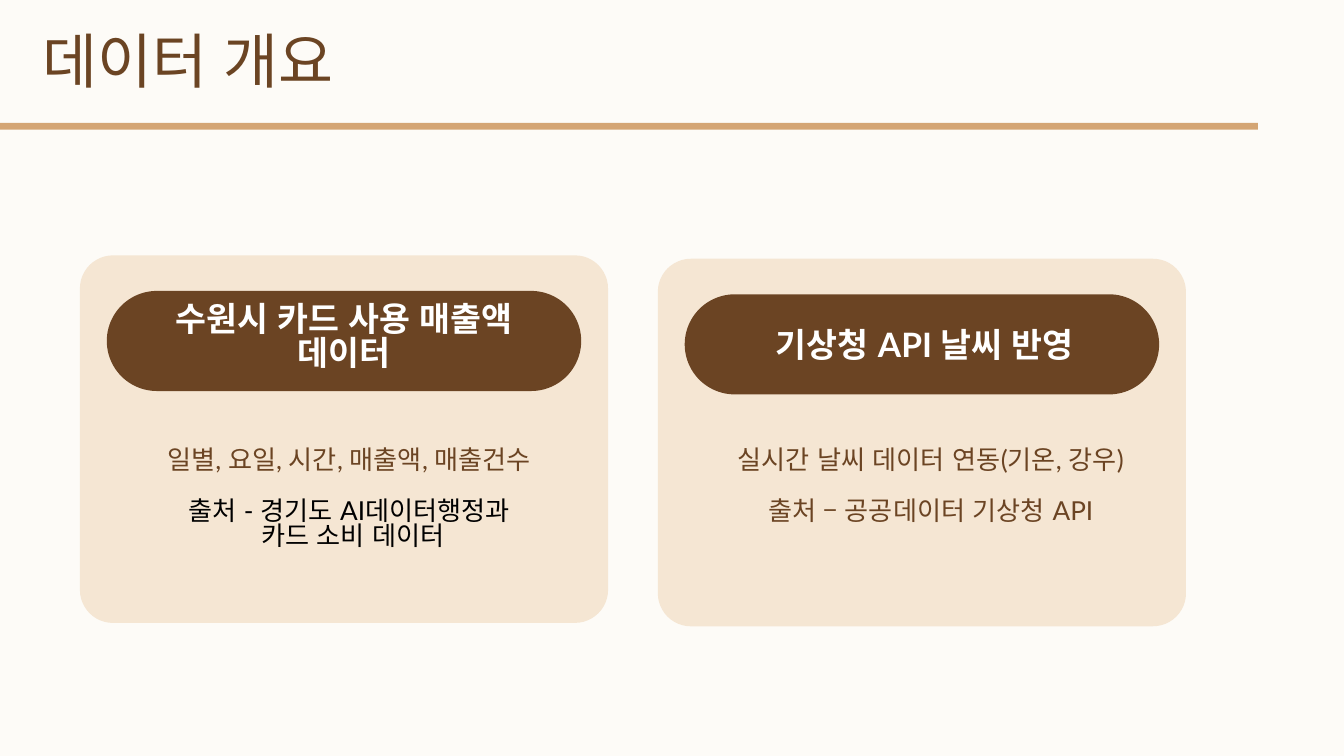
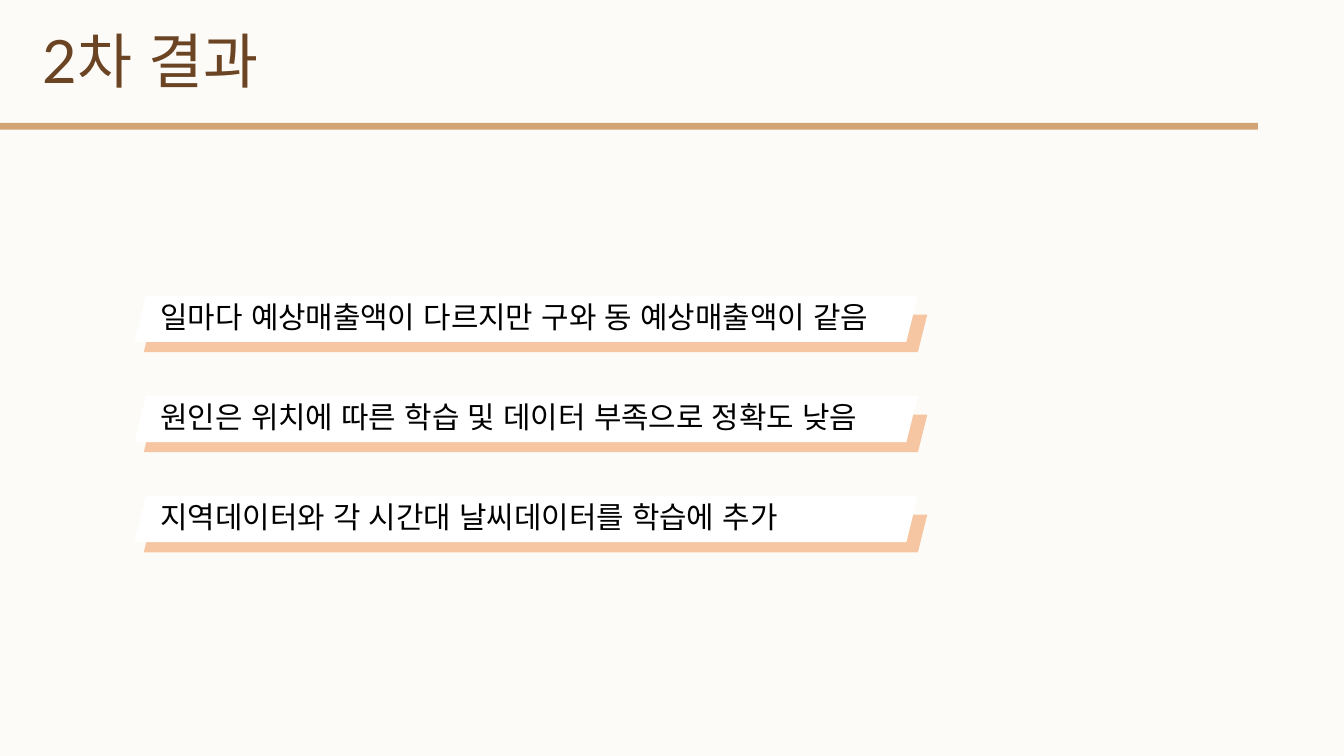
from lxml import etree
from pptx import Presentation
from pptx.dml.color import RGBColor
from pptx.enum.lang import MSO_LANGUAGE_ID
from pptx.enum.shapes import MSO_SHAPE
from pptx.enum.text import PP_ALIGN
from pptx.oxml.ns import qn
from pptx.util import Emu, Pt

RECTANGLE = MSO_SHAPE.RECTANGLE
ROUNDED = MSO_SHAPE.ROUNDED_RECTANGLE
PARALLELOGRAM = MSO_SHAPE.PARALLELOGRAM
LEFT, CENTER = PP_ALIGN.LEFT, PP_ALIGN.CENTER
KOREAN = MSO_LANGUAGE_ID.KOREAN

EMU_PER_PX = 4572
SLIDE_WIDTH, SLIDE_HEIGHT = 2000, 1125

CREAM, TAN, BROWN, SAND = "FDFBF7", "D4A574", "6B4423", "F5E6D3"
ORANGE, WHITE, BLACK = "ED7D31", "FFFFFF", "000000"
LATO, NOTO = "Lato", "Noto Sans CJK KR"

OVERVIEW_TITLE = "데이터 개요"
CARDS = [
    {
        "left": 119, "top": 380, "heading_at": (232, 454),
        "heading": "수원시 카드 사용 매출액 데이터",
        "body": [
            ("일별, 요일, 시간, 매출액, 매출건수 ", BROWN),
            ("출처 - 경기도 AI데이터행정과 ", BLACK),
            ("카드 소비 데이터", BLACK),
        ],
    },
    {
        "left": 979, "top": 385, "heading_at": (1096, 492),
        "heading": "기상청 API 날씨 반영",
        "body": [
            ("실시간 날씨 데이터 연동(기온, 강우)", BROWN),
            ("출처 – 공공데이터 기상청 API", BROWN),
        ],
    },
]
BODY_TOP = 668

RESULT_TITLE = "2차 결과"
FINDINGS = [
    "일마다 예상매출액이 다르지만 구와 동 예상매출액이 같음",
    "원인은 위치에 따른 학습 및 데이터 부족으로 정확도 낮음",
    "지역데이터와 각 시간대 날씨데이터를 학습에 추가",
]
FINDING_LEFT, FINDING_TOP, FINDING_PITCH = 200, 440, 149


def px(value):
    return Emu(value * EMU_PER_PX)


def color(value):
    return RGBColor.from_string(value)


def add_block(parent, kind, box, fill, corner=None, opacity=None):
    shape = parent.shapes.add_shape(kind, *map(px, box))
    shape.shadow.inherit = False
    shape.fill.solid()
    shape.fill.fore_color.rgb = color(fill)
    shape.line.fill.background()
    if corner is not None:
        shape.adjustments[0] = corner
    if opacity is not None:
        swatch = shape.fill._xPr.find(qn("a:solidFill"))[0]
        etree.SubElement(swatch, qn("a:alpha")).set("val", str(opacity * 1000))


def add_text(parent, box, lines, size, spacing, after=0, font=LATO,
             align=LEFT, bold=False, gap=0):
    frame = parent.shapes.add_textbox(*map(px, box)).text_frame
    frame.word_wrap = True
    frame.margin_left = frame.margin_top = 0
    frame.margin_right = frame.margin_bottom = 0
    for index, (text, text_color) in enumerate(lines):
        paragraph = frame.add_paragraph() if index else frame.paragraphs[0]
        paragraph.alignment = align
        paragraph.line_spacing = Pt(spacing)
        paragraph.space_after = Pt(after)
        if index == 1:
            paragraph.space_before = Pt(gap)
        run = paragraph.add_run()
        run.text = text
        run.font.size = Pt(size)
        run.font.name = font
        run.font.bold = bold
        run.font.language_id = KOREAN
        run.font.color.rgb = color(text_color)
        latin = run._r.get_or_add_rPr().find(qn("a:latin"))
        east_asian = etree.Element(qn("a:ea"))
        east_asian.set("typeface", NOTO)
        latin.addnext(east_asian)


def add_titled_slide(presentation, title):
    slide = presentation.slides.add_slide(presentation.slide_layouts[6])
    slide.background.fill.solid()
    slide.background.fill.fore_color.rgb = color(CREAM)
    add_block(slide, RECTANGLE, (0, 183, 1872, 10), TAN)
    add_text(slide, (63, 67, 958, 76), [(title, BROWN)], 32, 27, after=6)
    return slide


def add_card(slide, card):
    left, top = card["left"], card["top"]
    group = slide.shapes.add_group_shape()
    add_block(group, ROUNDED, (left, top, 786, 547), SAND, corner=0.09)
    add_block(group, ROUNDED, (left + 40, top + 53, 706, 149), BROWN, corner=0.5)
    add_text(group, (*card["heading_at"], 560, 130),
             [(card["heading"], WHITE)], 18, 17.9, after=3, align=CENTER, bold=True)
    add_text(group, (left + 65, BODY_TOP, 682, 130), card["body"],
             14, 13.7, align=CENTER, gap=13.7)


def add_finding(slide, index, text):
    left, top = FINDING_LEFT, FINDING_TOP + index * FINDING_PITCH
    group = slide.shapes.add_group_shape()
    add_block(group, PARALLELOGRAM, (left + 14, top + 28, 1166, 56), ORANGE, opacity=42)
    add_block(group, PARALLELOGRAM, (left, top, 1166, 69), WHITE)
    add_text(slide, (left + 39, top + 11, 1128, 56), [(text, BLACK)],
             16, 16.8, after=3, font=NOTO)


def main():
    presentation = Presentation()
    presentation.slide_width = px(SLIDE_WIDTH)
    presentation.slide_height = px(SLIDE_HEIGHT)
    overview = add_titled_slide(presentation, OVERVIEW_TITLE)
    for card in CARDS:
        add_card(overview, card)
    result = add_titled_slide(presentation, RESULT_TITLE)
    for index, text in enumerate(FINDINGS):
        add_finding(result, index, text)
    presentation.save("out.pptx")


if __name__ == "__main__":
    main()
